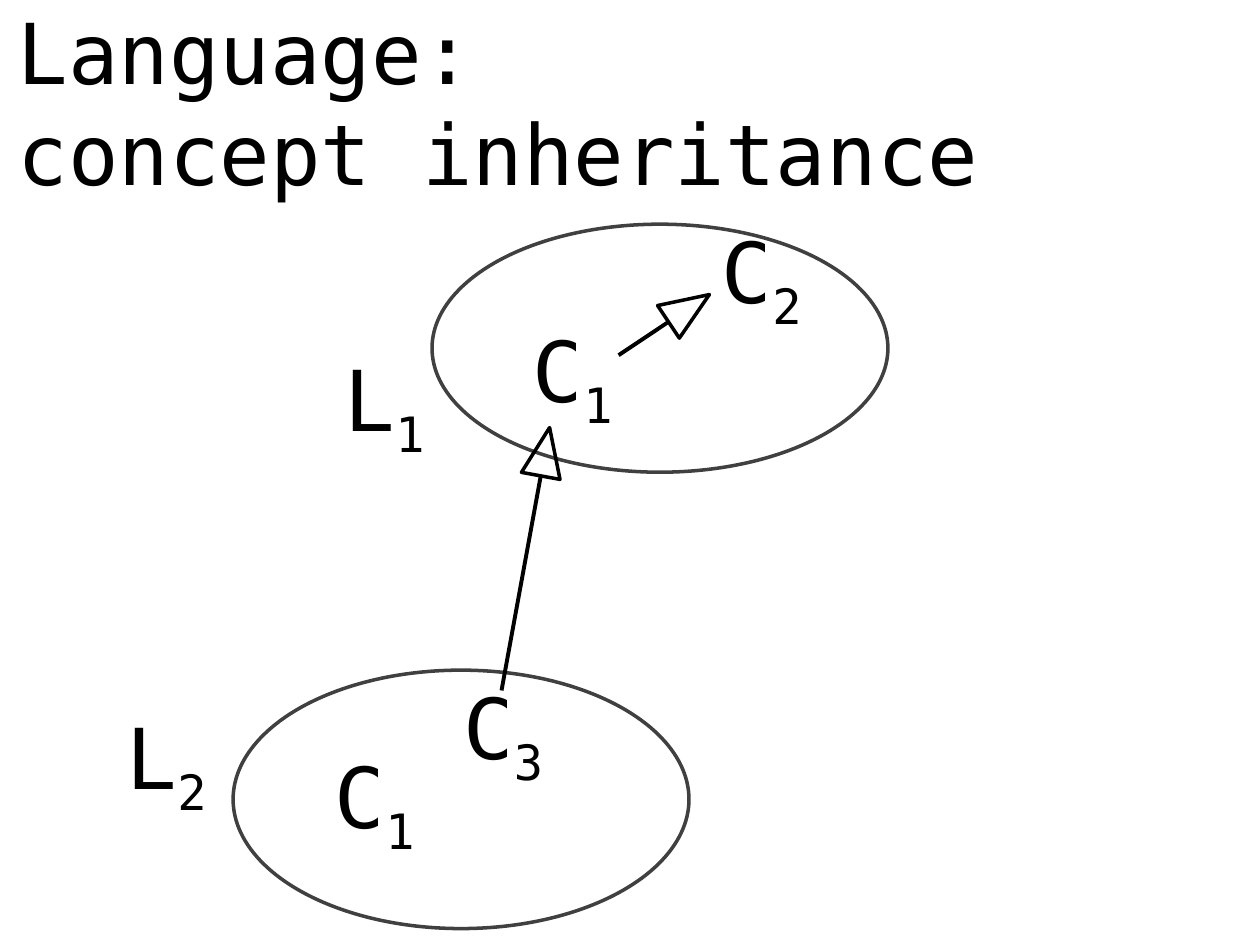
import math

from lxml import etree
from pptx import Presentation
from pptx.dml.color import RGBColor
from pptx.enum.shapes import MSO_CONNECTOR, MSO_SHAPE
from pptx.enum.text import MSO_ANCHOR, MSO_AUTO_SIZE, PP_ALIGN
from pptx.oxml.ns import qn
from pptx.util import Cm, Pt

ELLIPSE = MSO_SHAPE.OVAL
TRIANGLE = MSO_SHAPE.ISOSCELES_TRIANGLE
STRAIGHT = MSO_CONNECTOR.STRAIGHT
MIDDLE = MSO_ANCHOR.MIDDLE
LEFT = PP_ALIGN.LEFT
NO_AUTOFIT = MSO_AUTO_SIZE.NONE

BLACK, GRAY = "000000", "404040"
TEXT_FORMAT = {"name": "DejaVu Sans Mono", "size": Pt(48), "bold": False}
FRAME_FORMAT = {"word_wrap": True, "auto_size": NO_AUTOFIT, "vertical_anchor": MIDDLE}
LABEL_SIZE = (3, 4.09)
HEAD_WIDTH, HEAD_LENGTH = 0.79, 0.99


def color(hex_value):
    return RGBColor.from_string(hex_value)


def apply_format(target, values):
    for attribute, value in values.items():
        setattr(target, attribute, value)


def format_paragraph(paragraph):
    apply_format(paragraph, {"alignment": LEFT, "line_spacing": 1.0})
    for run in paragraph.runs:
        apply_format(run.font, TEXT_FORMAT)
        run.font.color.rgb = color(BLACK)


def add_outline(slide, preset, box, line_color):
    outline = slide.shapes.add_shape(preset, *map(Cm, box))
    outline.shadow.inherit = False
    outline.fill.background()
    outline.line.color.rgb = color(line_color)
    outline.line.width = Pt(2)
    return outline


def set_title(slide, box, text):
    title = slide.shapes.title
    apply_format(title, dict(zip(("left", "top", "width", "height"), map(Cm, box))))
    apply_format(title.text_frame, FRAME_FORMAT)
    title.text_frame.text = text
    format_paragraph(title.text_frame.paragraphs[0])


def add_label(slide, left, top, letter, index):
    label = slide.shapes.add_textbox(*map(Cm, (left, top, *LABEL_SIZE)))
    apply_format(label.text_frame, FRAME_FORMAT)
    paragraph = label.text_frame.paragraphs[0]
    paragraph.add_run().text = letter
    subscript = paragraph.add_run()
    subscript.text = index
    format_paragraph(paragraph)
    subscript.font._element.set("baseline", "-25000")


def add_language(slide, box, labels):
    """Ellipse of a language; labels are offset from its top left corner."""
    add_outline(slide, ELLIPSE, box, GRAY)
    for letter, index, dx, dy in labels:
        add_label(slide, box[0] + dx, box[1] + dy, letter, index)


def add_inheritance(slide, box):
    """Arrow from the bottom left of the box to a hollow head at its top right."""
    left, top, width, height = box
    angle = math.atan2(width, height)
    along_x, along_y = math.sin(angle), -math.cos(angle)
    tip_x, tip_y = left + width, top

    # Hollow head, turned about its centre
    center_x = tip_x - along_x * HEAD_LENGTH / 2
    center_y = tip_y - along_y * HEAD_LENGTH / 2
    head_box = (center_x - HEAD_WIDTH / 2, center_y - HEAD_LENGTH / 2,
                HEAD_WIDTH, HEAD_LENGTH)
    head = add_outline(slide, TRIANGLE, head_box, BLACK)
    head.rotation = math.degrees(angle)

    # Shaft, from the middle of the head's base
    base_x, base_y = tip_x - along_x * HEAD_LENGTH, tip_y - along_y * HEAD_LENGTH
    shaft = slide.shapes.add_connector(
        STRAIGHT, *map(Cm, (base_x, base_y, left, top + height)))
    shaft.line.color.rgb = color(BLACK)
    shaft.line.width = Pt(2.25)
    etree.SubElement(shaft._element.spPr, qn("a:effectLst"))


def main():
    presentation = Presentation()
    presentation.slide_width, presentation.slide_height = Cm(25.4), Cm(19.05)
    slide = presentation.slides.add_slide(presentation.slide_layouts[0])
    subtitle = slide.placeholders[1].element
    subtitle.getparent().remove(subtitle)

    set_title(slide, (0.1, 0, 21.41, 4.09), "Language:\vconcept inheritance")

    # Languages with their concepts
    add_language(slide, (8.71, 4.52, 9.19, 5), [
        ("L", "1", -2.01, 1.6), ("C", "1", 1.78, 1.02), ("C", "2", 5.59, -0.99)])
    add_language(slide, (4.7, 13.51, 9.19, 5.21), [
        ("L", "2", -2.39, -0.18), ("C", "1", 1.8, 0.61), ("C", "3", 4.39, -0.79)])

    # Inheritance within a language and between languages
    add_inheritance(slide, (12.47, 5.94, 1.83, 1.22))
    add_inheritance(slide, (10.11, 8.62, 0.97, 5.3))

    presentation.save("out.pptx")


if __name__ == "__main__":
    main()
